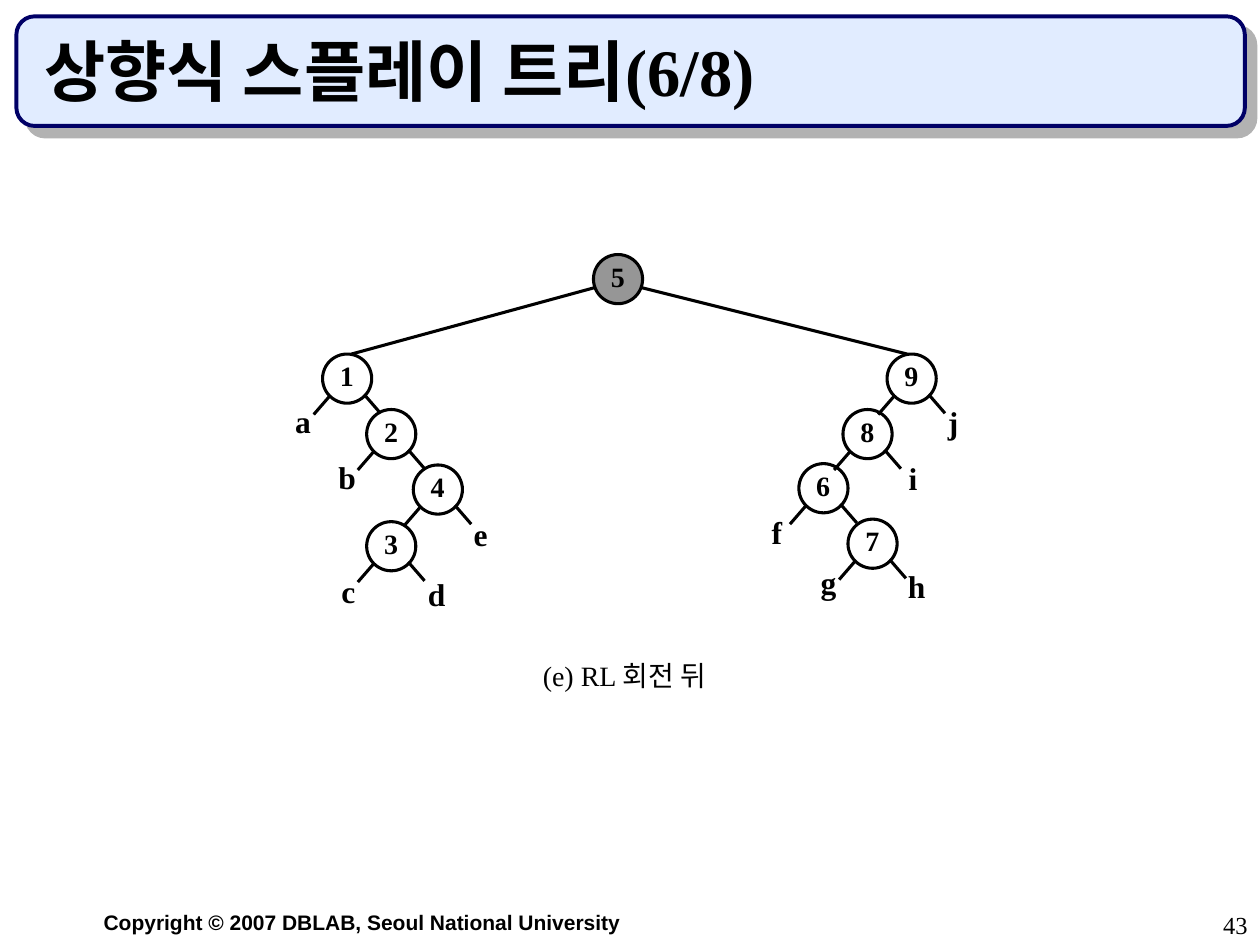
from dataclasses import dataclass
from typing import Optional

from lxml.etree import SubElement
from pptx import Presentation
from pptx.dml.color import RGBColor
from pptx.enum.shapes import MSO_CONNECTOR, MSO_SHAPE
from pptx.enum.text import MSO_ANCHOR, MSO_AUTO_SIZE, PP_ALIGN
from pptx.oxml.ns import qn
from pptx.util import Inches, Pt


@dataclass(frozen=True)
class Theme:
    ink: str = "000000"
    banner_fill: str = "E1ECFF"
    banner_line: str = "000066"
    shadow: str = "B2B2B2"
    root_fill: str = "969696"
    serif: str = "Times New Roman"
    sans: str = "Arial"
    title: float = 38
    leaf: float = 18
    body: float = 16
    number: float = 14
    footer: float = 12
    banner_width: float = 2.25
    line_width: float = 1.75


@dataclass(frozen=True)
class Node:
    key: str
    x: float
    y: float
    fill: Optional[str] = None


@dataclass(frozen=True)
class Label:
    text: str
    x: float
    y: float
    w: float = 0.39
    h: float = 0.34
    size: float = Theme.leaf
    bold: bool = True
    font: str = Theme.serif
    align: PP_ALIGN = PP_ALIGN.CENTER
    spacing: Optional[float] = 0.8
    grow: bool = True


T = Theme()
DIAMETER = 0.39
ROOT = Node("5", 4.71, 2.02, T.root_fill)
NODES = [
    Node("1", 2.56, 2.81), Node("2", 2.91, 3.25), Node("4", 3.28, 3.69),
    Node("3", 2.91, 4.14), Node("9", 7.04, 2.81), Node("8", 6.69, 3.25),
    Node("6", 6.34, 3.68), Node("7", 6.73, 4.12),
]
LEAVES = [
    Label("a", 2.21, 3.2), Label("b", 2.56, 3.64), Label("c", 2.57, 4.55),
    Label("d", 3.27, 4.57), Label("e", 3.62, 4.1), Label("f", 5.97, 4.08),
    Label("g", 6.38, 4.48), Label("h", 7.08, 4.51), Label("i", 7.05, 3.65),
    Label("j", 7.37, 3.21),
]
CAPTIONS = [
    Label("(e) RL 회전 뒤", 3.97, 5.23, 1.97, 0.32, T.body, False),
    Label("Copyright © 2007 DBLAB, Seoul National University", 0.25, 7.17, 5.25, 0.3,
          T.footer, font=T.sans, spacing=None),
    Label("43", 7.92, 7.17, 2.08, 0.33, T.number, False,
          align=PP_ALIGN.RIGHT, spacing=None, grow=False),
]


def rgb(value: str) -> RGBColor:
    return RGBColor.from_string(value)


def set_text(tf, text: str, size: float, bold: bool, font: str, align: PP_ALIGN) -> None:
    tf.word_wrap = True
    tf.text = text
    p = tf.paragraphs[0]
    p.alignment = align
    p.space_before = Pt(0)
    for r in p.runs:
        r.font.name = font
        r.font.size = Pt(size)
        r.font.bold = bold
        r.font.color.rgb = rgb(T.ink)


def draw_label(shapes, label: Label) -> None:
    sp = shapes.add_textbox(*map(Inches, (label.x, label.y, label.w, label.h)))
    tf = sp.text_frame
    set_text(tf, label.text, label.size, label.bold, label.font, label.align)
    tf.auto_size = MSO_AUTO_SIZE.SHAPE_TO_FIT_TEXT if label.grow else MSO_AUTO_SIZE.NONE
    if label.spacing:
        tf.paragraphs[0].line_spacing = label.spacing


def draw_edge(shapes, x1: float, y1: float, x2: float, y2: float) -> None:
    edge = shapes.add_connector(MSO_CONNECTOR.STRAIGHT, *map(Inches, (x1, y1, x2, y2)))
    edge.line.color.rgb = rgb(T.ink)
    edge.line.width = Pt(T.line_width)
    SubElement(edge.element.spPr, qn("a:effectLst"))


def draw_branches(shapes, node: Node) -> None:
    for start, dy, run in ((0.06, 0.33, -0.13), (0.33, 0.32, 0.13)):
        x, y = node.x + start, node.y + dy
        draw_edge(shapes, x, y, x + run, y + 0.15)


def draw_node(shapes, node: Node) -> None:
    group = shapes.add_group_shape()
    sp = group.shapes.add_shape(
        MSO_SHAPE.OVAL, *map(Inches, (node.x, node.y, DIAMETER, DIAMETER)))
    sp.shadow.inherit = False
    if node.fill:
        sp.fill.solid()
        sp.fill.fore_color.rgb = rgb(node.fill)
    else:
        sp.fill.background()
    sp.line.color.rgb = rgb(T.ink)
    sp.line.width = Pt(T.line_width)
    draw_label(group.shapes, Label(node.key, node.x + 0.04, node.y + 0.04, 0.36, 0.32,
                                   T.body, align=PP_ALIGN.JUSTIFY))


def draw_title(s, text: str) -> None:
    banner = s.shapes.add_shape(
        MSO_SHAPE.ROUNDED_RECTANGLE, *map(Inches, (0.13, 0.13, 9.75, 0.87)))
    banner.fill.solid()
    banner.fill.fore_color.rgb = rgb(T.banner_fill)
    banner.line.color.rgb = rgb(T.banner_line)
    banner.line.width = Pt(T.banner_width)
    banner.shadow.inherit = False
    effects = banner.element.spPr.find(qn("a:effectLst"))
    shadow = SubElement(effects, qn("a:outerShdw"), dist=str(Pt(8.5)),
                        dir=str(45 * 60000), algn="ctr", rotWithShape="0")
    SubElement(shadow, qn("a:srgbClr"), val=T.shadow)

    title = s.shapes.title
    title.element.addprevious(banner.element)
    title.left, title.top, title.width, title.height = map(Inches, (0.25, 0.25, 9.42, 0.67))
    tf = title.text_frame
    set_text(tf, text, T.title, True, T.serif, PP_ALIGN.LEFT)
    tf.auto_size = MSO_AUTO_SIZE.NONE
    tf.vertical_anchor = MSO_ANCHOR.BOTTOM


def main() -> None:
    prs = Presentation()
    prs.slide_width, prs.slide_height = Inches(10), Inches(7.5)
    s = prs.slides.add_slide(prs.slide_layouts[5])
    draw_title(s, "상향식 스플레이 트리(6/8)")
    draw_edge(s.shapes, 4.73, 2.28, 2.79, 2.81)
    draw_edge(s.shapes, 5.08, 2.28, 7.2, 2.81)
    for node in NODES:
        draw_branches(s.shapes, node)
    for node in [ROOT, *NODES]:
        draw_node(s.shapes, node)
    for label in LEAVES + CAPTIONS:
        draw_label(s.shapes, label)
    prs.save("out.pptx")


if __name__ == "__main__":
    main()
